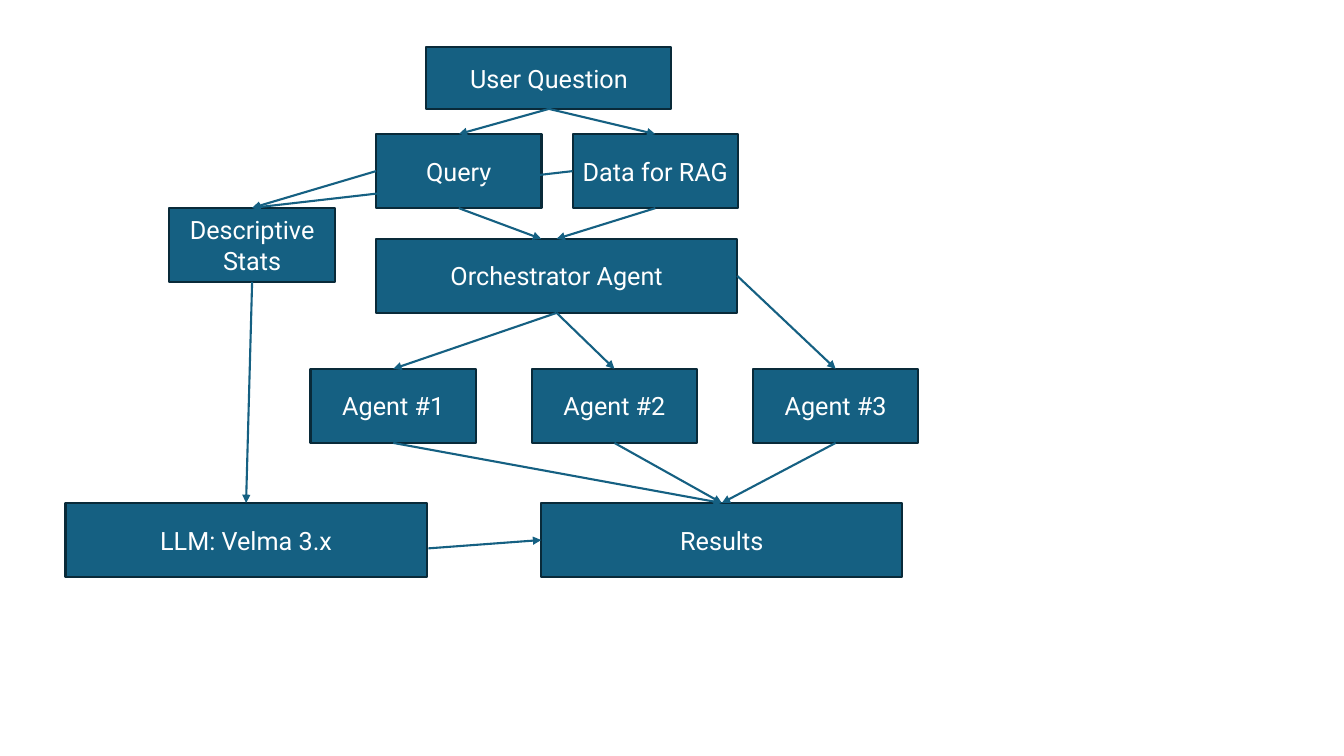
from lxml import etree
from pptx import Presentation
from pptx.dml.color import RGBColor
from pptx.enum.shapes import MSO_CONNECTOR, MSO_SHAPE
from pptx.enum.text import MSO_ANCHOR, PP_ALIGN
from pptx.oxml.ns import qn
from pptx.util import Pt

RECTANGLE = MSO_SHAPE.RECTANGLE
STRAIGHT = MSO_CONNECTOR.STRAIGHT
MIDDLE = MSO_ANCHOR.MIDDLE
CENTER = PP_ALIGN.CENTER

FONT = "Roboto"
TEAL, DARK_TEAL, WHITE = "156082", "092A39", "FFFFFF"
TOP, LEFT, BOTTOM, RIGHT = range(4)  # connection sites of a rectangle

NARROW, WIDE, HEIGHT = 118.2, 258, 52.9
AGENT_LEFT, AGENT_TOP, AGENT_STEP = 175, 229.7, 158

# Label: left, top, width, height, within the flow
STEPS = {
    "User Question": (257.8, 0, 175, 44),
    "Query": (221.8, 62, NARROW, HEIGHT),
    "Data for RAG": (362.2, 62, NARROW, HEIGHT),
    "Descriptive Stats": (74.2, 114.7, NARROW, HEIGHT),
    "Orchestrator Agent": (221.8, 136.8, WIDE, HEIGHT),
    "LLM: Velma 3.x": (0, 325.5, WIDE, HEIGHT),
    "Results": (339.8, 325.5, WIDE, HEIGHT),
}
AGENTS = ["Agent #1", "Agent #2", "Agent #3"]

# Source, site, target, site
LINKS = [
    ("User Question", BOTTOM, "Query", TOP),
    ("User Question", BOTTOM, "Data for RAG", TOP),
    ("Data for RAG", LEFT, "Descriptive Stats", TOP),
    ("Query", LEFT, "Descriptive Stats", TOP),
    ("Descriptive Stats", BOTTOM, "LLM: Velma 3.x", TOP),
    ("Data for RAG", BOTTOM, "Orchestrator Agent", TOP),
    ("Orchestrator Agent", BOTTOM, "Agent #1", TOP),
    ("Orchestrator Agent", BOTTOM, "Agent #2", TOP),
    ("Orchestrator Agent", RIGHT, "Agent #3", TOP),
] + [(agent, BOTTOM, "Results", TOP) for agent in AGENTS]


def color(hex_string):
    return RGBColor.from_string(hex_string)


def add_step(slide, label, left, top, width, height):
    step = slide.shapes.add_shape(RECTANGLE, Pt(left), Pt(top), Pt(width), Pt(height))
    step.shadow.inherit = False
    step.fill.solid()
    step.fill.fore_color.rgb = color(TEAL)
    step.line.color.rgb = color(DARK_TEAL)
    step.line.width = Pt(1.5)
    frame = step.text_frame
    frame.text = label
    frame.word_wrap = True
    frame.vertical_anchor = MIDDLE
    paragraph = frame.paragraphs[0]
    paragraph.alignment = CENTER
    font = paragraph.runs[0].font
    font.name, font.size = FONT, Pt(18)
    font.color.rgb = color(WHITE)
    return step


def add_arrow(slide, x1=0, y1=0, x2=0, y2=0):
    arrow = slide.shapes.add_connector(STRAIGHT, Pt(x1), Pt(y1), Pt(x2), Pt(y2))
    arrow.line.color.rgb = color(TEAL)
    arrow.line.width = Pt(1.5)
    etree.SubElement(arrow.line._get_or_add_ln(), qn("a:tailEnd"), type="triangle")
    etree.SubElement(arrow._element.spPr, qn("a:effectLst"))
    return arrow


def add_agent_flow(slide, left, top):
    places = dict(STEPS)
    for i, agent in enumerate(AGENTS):
        places[agent] = (AGENT_LEFT + i * AGENT_STEP, AGENT_TOP, NARROW, HEIGHT)
    steps = {
        label: add_step(slide, label, left + x, top + y, width, height)
        for label, (x, y, width, height) in places.items()
    }
    for source, source_site, target, target_site in LINKS:
        arrow = add_arrow(slide)
        arrow.begin_connect(steps[source], source_site)
        arrow.end_connect(steps[target], target_site)

    # Two arrows have one end away from the connection sites
    query_to_orchestrator = add_arrow(slide, x2=left + 339.8, y2=top + 136.8)
    query_to_orchestrator.begin_connect(steps["Query"], BOTTOM)
    llm_to_results = add_arrow(slide, x1=left + 259.2, y1=top + 357.9)
    llm_to_results.end_connect(steps["Results"], LEFT)


def main():
    deck = Presentation()
    deck.slide_width, deck.slide_height = Pt(960), Pt(540)
    slide = deck.slides.add_slide(deck.slide_layouts[6])
    add_agent_flow(slide, 46.8, 33.8)
    deck.save("out.pptx")


if __name__ == "__main__":
    main()
